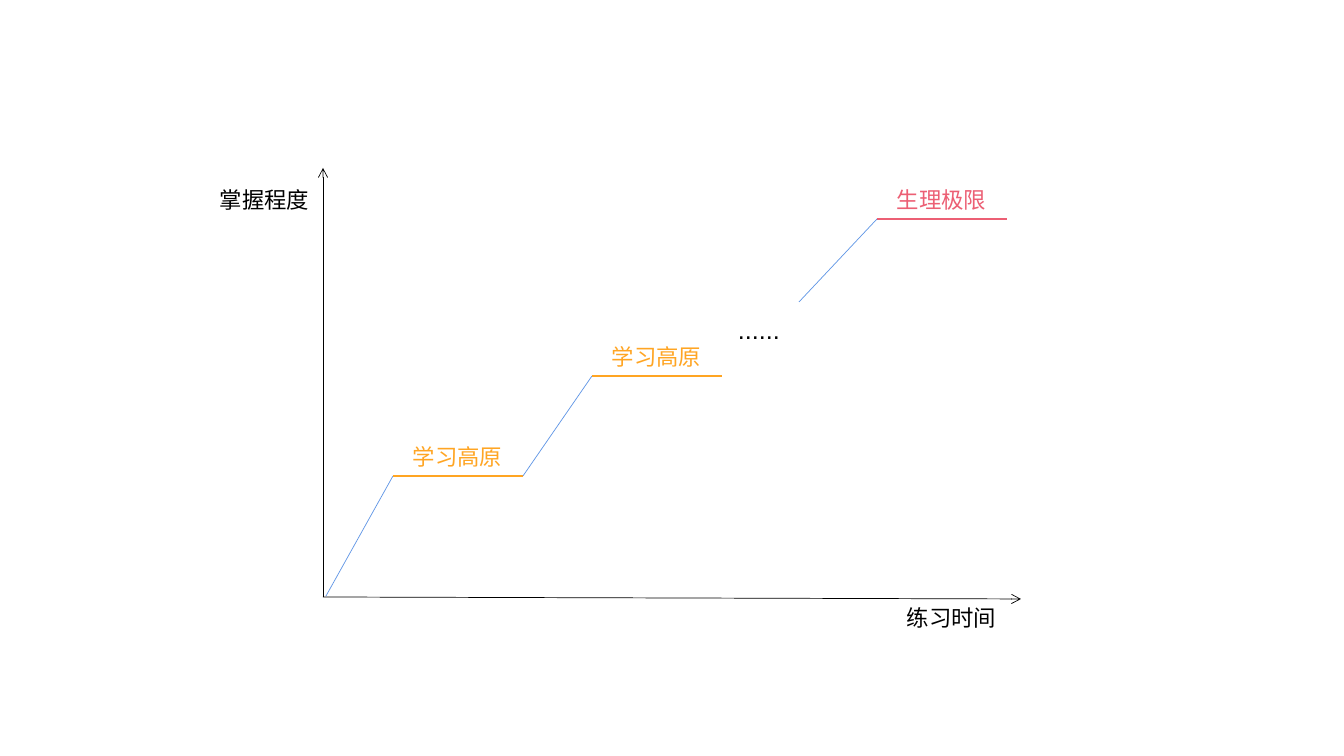
import pptx
import pptx.util
import pptx.dml.color
import pptx.enum.shapes
import pptx.enum.text
import pptx.oxml.ns
import lxml.etree

EMU_PER_PIXEL = 914400 / 100.8
BLACK, BLUE, ORANGE, RED = "000000", "6096E6", "FFA523", "EC5F74"


def pixels(count):
    return pptx.util.Emu(round(count * EMU_PER_PIXEL))


def colour(value):
    return pptx.dml.color.RGBColor.from_string(value)


def add_line(slide, start, end, line_colour, width, arrow=False):
    connector = slide.shapes.add_connector(
        pptx.enum.shapes.MSO_CONNECTOR.STRAIGHT, *map(pixels, (*start, *end)))
    connector.line.color.rgb = colour(line_colour)
    connector.line.width = pptx.util.Pt(width)
    if arrow:
        outline = connector.line._get_or_add_ln()
        lxml.etree.SubElement(outline, pptx.oxml.ns.qn("a:tailEnd"), type="arrow")
    properties = connector._element.spPr
    lxml.etree.SubElement(properties, pptx.oxml.ns.qn("a:effectLst"))


def add_label(slide, text, left, top, text_colour=BLACK, size=16, width=110, height=37):
    shape = slide.shapes.add_textbox(*map(pixels, (left, top, width, height)))
    text_frame = shape.text_frame
    text_frame.text = text
    text_frame.word_wrap = False
    text_frame.auto_size = pptx.enum.text.MSO_AUTO_SIZE.SHAPE_TO_FIT_TEXT
    font = text_frame.paragraphs[0].runs[0].font
    font.name = "Arial"
    font.size = pptx.util.Pt(size)
    font.color.rgb = colour(text_colour)


def add_axes(slide, left, top, width, height):
    origin = (left, top + height)
    add_line(slide, origin, (left + width, top + height + 2), BLACK, 0.5, arrow=True)
    add_line(slide, origin, (left, top), BLACK, 0.5, arrow=True)
    add_label(slide, "练习时间", left + width - 124, top + height + 2)
    add_label(slide, "掌握程度", left - 113, top + 13)


def add_learning_curve(slide, left, top):
    plateau_length = 130
    stages = [
        ((3, 428), (70, 308), "学习高原", ORANGE),
        ((200, 308), (269, 208), "学习高原", ORANGE),
        ((476, 134), (554, 51), "生理极限", RED),
    ]
    for (start_x, start_y), (end_x, end_y), text, plateau_colour in stages:
        plateau_left, plateau_top = left + end_x, top + end_y
        add_line(slide, (left + start_x, top + start_y), (plateau_left, plateau_top), BLUE, 0.5)
        add_line(slide, (plateau_left, plateau_top),
                 (plateau_left + plateau_length, plateau_top), plateau_colour, 1.5)
        add_label(slide, text, plateau_left + 10, plateau_top - 38, plateau_colour)
    add_label(slide, "......", left + 405, top + 141, size=18, width=62, height=40)


presentation = pptx.Presentation()
presentation.slide_width = pixels(1344)
presentation.slide_height = pixels(756)
slide = presentation.slides.add_slide(presentation.slide_layouts[6])
add_axes(slide, 323, 168, 698, 429)
add_learning_curve(slide, 323, 168)
presentation.save("out.pptx")
